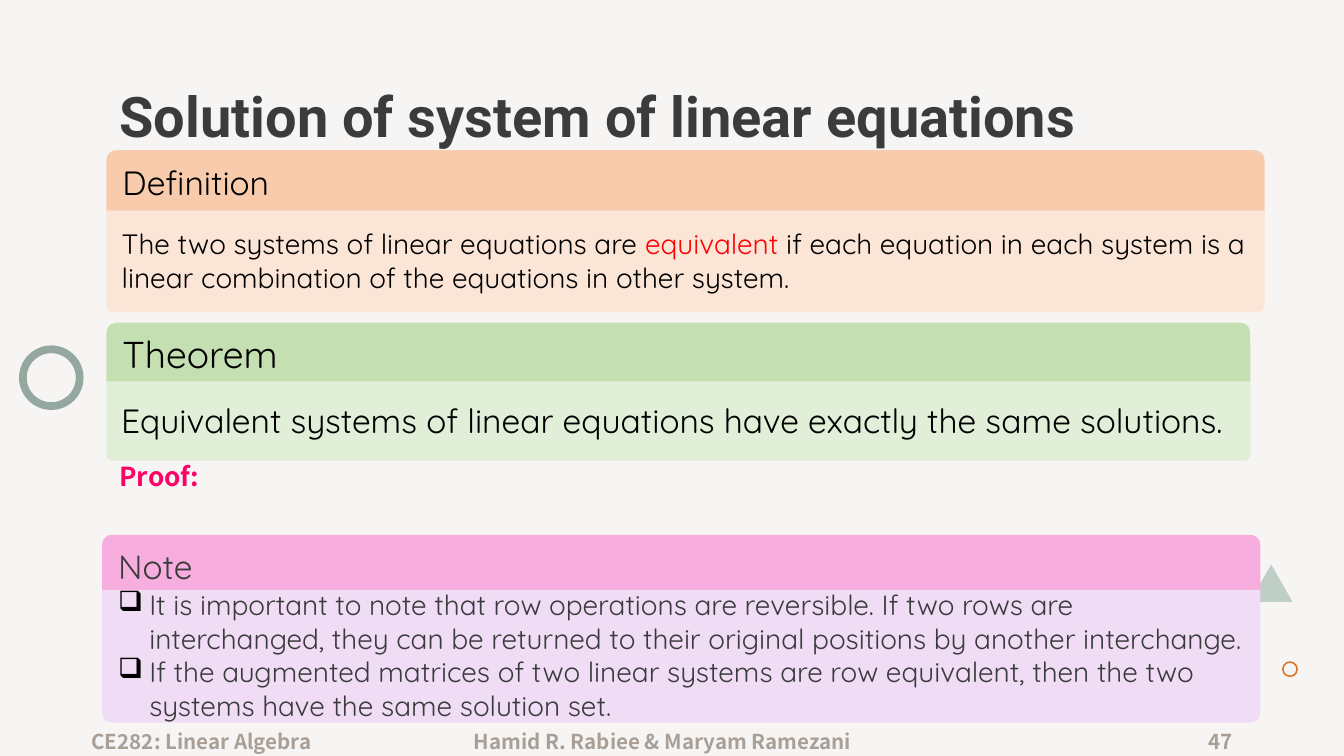
from lxml.etree import SubElement
from pptx import Presentation
from pptx.dml.color import RGBColor
from pptx.enum.shapes import MSO_SHAPE as Shape
from pptx.enum.text import MSO_ANCHOR as Anchor, PP_ALIGN as Align
from pptx.oxml.ns import qn
from pptx.util import Cm, Pt

BACKGROUND = RGBColor(0xF6, 0xF5, 0xF4)
BLACK = RGBColor(0x00, 0x00, 0x00)
CHARCOAL = RGBColor(0x3A, 0x3B, 0x3C)
TAUPE = RGBColor(0xA9, 0x9F, 0x96)
RED = RGBColor(0xFF, 0x00, 0x00)
PINK = RGBColor(0xFF, 0x00, 0x66)
SAGE = RGBColor(0x94, 0xA8, 0x9F)
PALE_SAGE = RGBColor(0xC0, 0xCE, 0xC8)
ORANGE = RGBColor(0xDC, 0x71, 0x28)
PEACH = RGBColor(0xF8, 0xCB, 0xAD)
PALE_PEACH = RGBColor(0xFB, 0xE5, 0xD6)
GREEN = RGBColor(0xC4, 0xE0, 0xB2)
PALE_GREEN = RGBColor(0xE1, 0xEF, 0xD8)
MAGENTA = RGBColor(0xF7, 0xAD, 0xDD)
LILAC = RGBColor(0xF0, 0xDC, 0xF4)


class SlideBuilder:
    body_font = "Quicksand"
    title_font = "Roboto"
    label_font = "Noto Sans CJK JP"

    def __init__(self, slide):
        self.slide = slide
        fill = slide.background.fill
        fill.solid()
        fill.fore_color.rgb = BACKGROUND

    def style(self, run, font, size, color, bold=False):
        run.font.name = font
        run.font.size = Pt(size)
        run.font.color.rgb = color
        run.font.bold = bold

    def shape(self, kind, box, color, adjustments=()):
        shape = self.slide.shapes.add_shape(kind, *map(Cm, box))
        shape.shadow.inherit = False
        shape.fill.solid()
        shape.fill.fore_color.rgb = color
        shape.line.fill.background()
        for index, value in enumerate(adjustments):
            shape.adjustments[index] = value
        return shape

    def label(self, text, box, font, size, color, insets=(0.25, 0.25),
              align=Align.LEFT, anchor=Anchor.TOP):
        frame = self.slide.shapes.add_textbox(*map(Cm, box)).text_frame
        frame.word_wrap = True
        frame.vertical_anchor = anchor
        frame.margin_left = frame.margin_right = Cm(insets[0])
        frame.margin_top = frame.margin_bottom = Cm(insets[1])
        frame.text = text
        paragraph = frame.paragraphs[0]
        paragraph.alignment = align
        self.style(paragraph.runs[0], font, size, color, bold=True)

    def footer(self, text, left, width, align):
        self.label(text, (left, 13.64, width, 0.76), self.label_font, 11, TAUPE,
                   (0.18, 0.1), align, Anchor.MIDDLE)

    def panel(self, box, fill, adjustments, paragraphs, size, color, bulleted=False):
        shape = self.shape(Shape.ROUND_2_SAME_RECTANGLE, box, fill, adjustments)
        frame = shape.text_frame
        frame.word_wrap = True
        frame.vertical_anchor = Anchor.MIDDLE
        for index, pieces in enumerate(paragraphs):
            paragraph = frame.add_paragraph() if index else frame.paragraphs[0]
            paragraph.alignment = Align.LEFT
            for text, highlight in pieces:
                run = paragraph.add_run()
                run.text = text
                self.style(run, self.body_font, size, highlight or color)
            if bulleted:
                self.bullet(paragraph)

    def bullet(self, paragraph):
        properties = paragraph._p.get_or_add_pPr()
        indent = Cm(0.59)
        properties.set("marL", str(indent))
        properties.set("indent", str(-indent))
        color = SubElement(properties, qn("a:buClr"))
        SubElement(color, qn("a:srgbClr"), val=str(BLACK))
        SubElement(properties, qn("a:buChar"), char="❑")

    def card(self, heading, body, left, width, tops, heights, fills, sizes,
             color=BLACK, bulleted=False):
        self.panel((left, tops[0], width, heights[0]), fills[0], (0.167, 0),
                   [[(heading, None)]], sizes[0], color)
        self.panel((left, tops[1], width, heights[1]), fills[1], (0, 0.072),
                   body, sizes[1], color, bulleted)


def main():
    presentation = Presentation()
    presentation.slide_width = Cm(25.4)
    presentation.slide_height = Cm(14.29)
    builder = SlideBuilder(presentation.slides.add_slide(presentation.slide_layouts[6]))

    builder.shape(Shape.DONUT, (0.36, 6.53, 1.22, 1.22), SAGE, (0.12,))
    builder.shape(Shape.ISOSCELES_TRIANGLE, (23.62, 10.67, 0.81, 0.71), PALE_SAGE)
    builder.shape(Shape.DONUT, (24.23, 12.5, 0.3, 0.3), ORANGE, (0.1,))

    builder.label("Solution of system of linear equations", (2.01, 1.3, 21.41, 1.75),
                  builder.title_font, 30, CHARCOAL)
    builder.footer("CE282: Linear Algebra", 1.55, 5.72, Align.LEFT)
    builder.footer("Hamid R. Rabiee & Maryam Ramezani", 8.23, 8.59, Align.CENTER)
    builder.footer("47", 17.75, 5.72, Align.RIGHT)

    theorem = "Equivalent systems of linear equations have exactly the same solutions."
    builder.card("Theorem", [[(theorem, None)]], 2.01, 21.62, (6.1, 7.21), (1.12, 1.5),
                 (GREEN, PALE_GREEN), (20, 18))
    builder.label("Proof:", (2.01, 8.46, 4.22, 1.12), builder.label_font, 14, PINK)

    notes = [
        "It is important to note that row operations are reversible. If two rows are "
        "interchanged, they can be returned to their original positions by another interchange.",
        "If the augmented matrices of two linear systems are row equivalent, then the two "
        "systems have the same solution set.",
    ]
    builder.card("Note", [[(note, None)] for note in notes], 1.93, 21.89, (10.11, 11.15),
                 (1.14, 2.51), (MAGENTA, LILAC), (18, 15), CHARCOAL, bulleted=True)

    definition = [
        ("The two systems of linear equations are ", None),
        ("equivalent", RED),
        (" if each equation in each system is a linear combination of the equations "
         "in other system.", None),
    ]
    builder.card("Definition", [definition], 2.01, 21.89, (2.84, 3.99), (1.14, 1.91),
                 (PEACH, PALE_PEACH), (18, 15))

    presentation.save("out.pptx")


if __name__ == "__main__":
    main()
